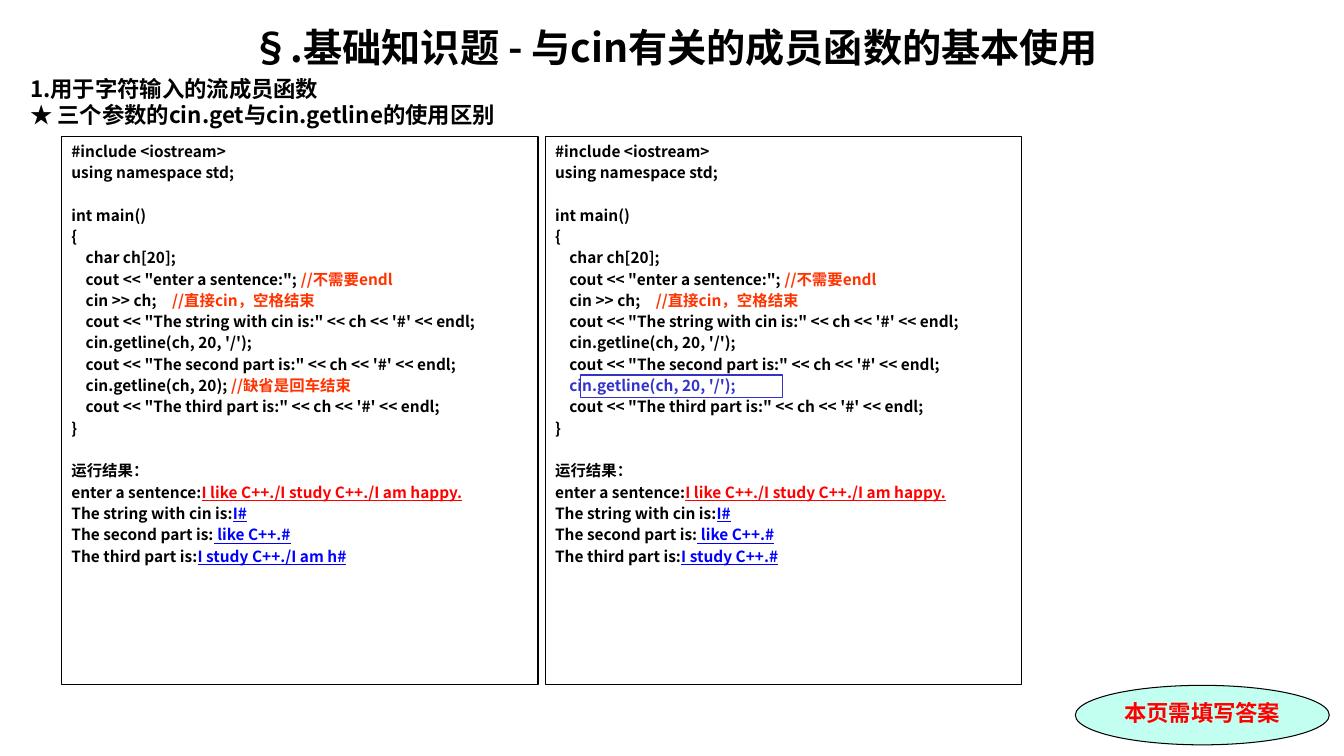
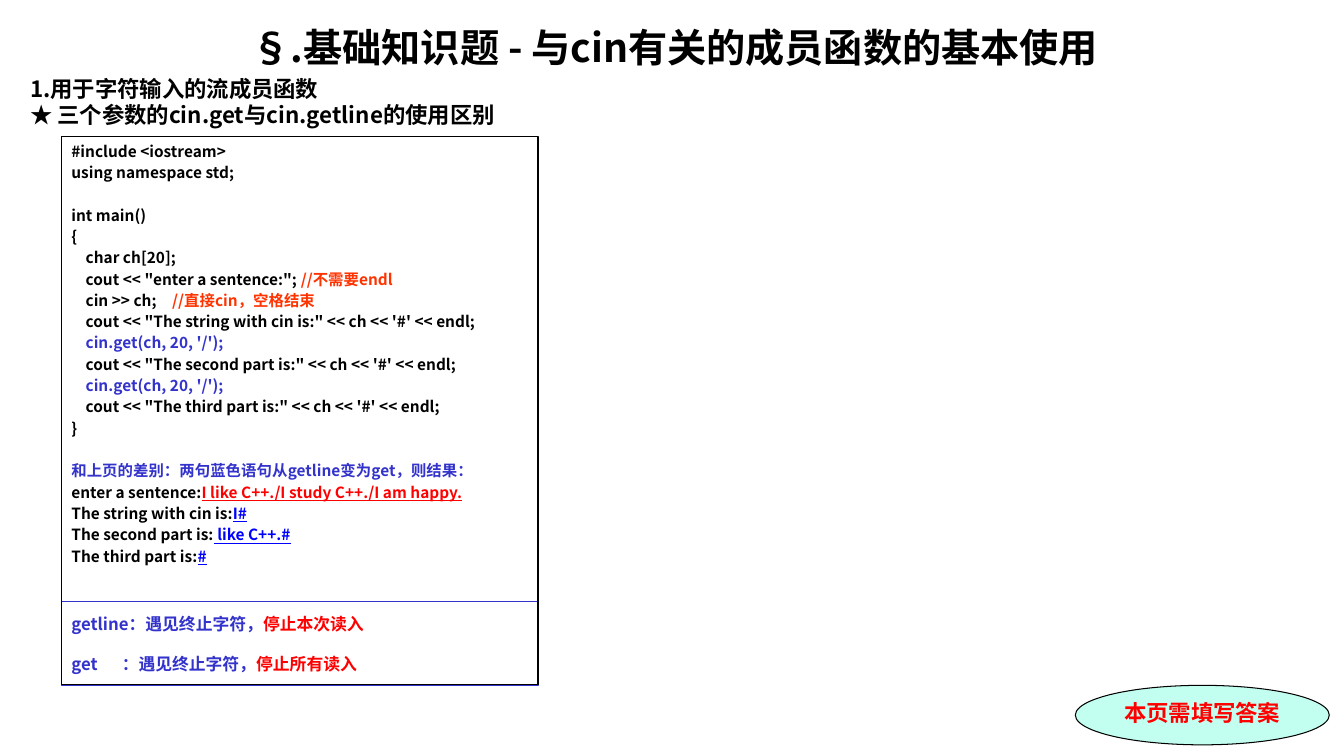
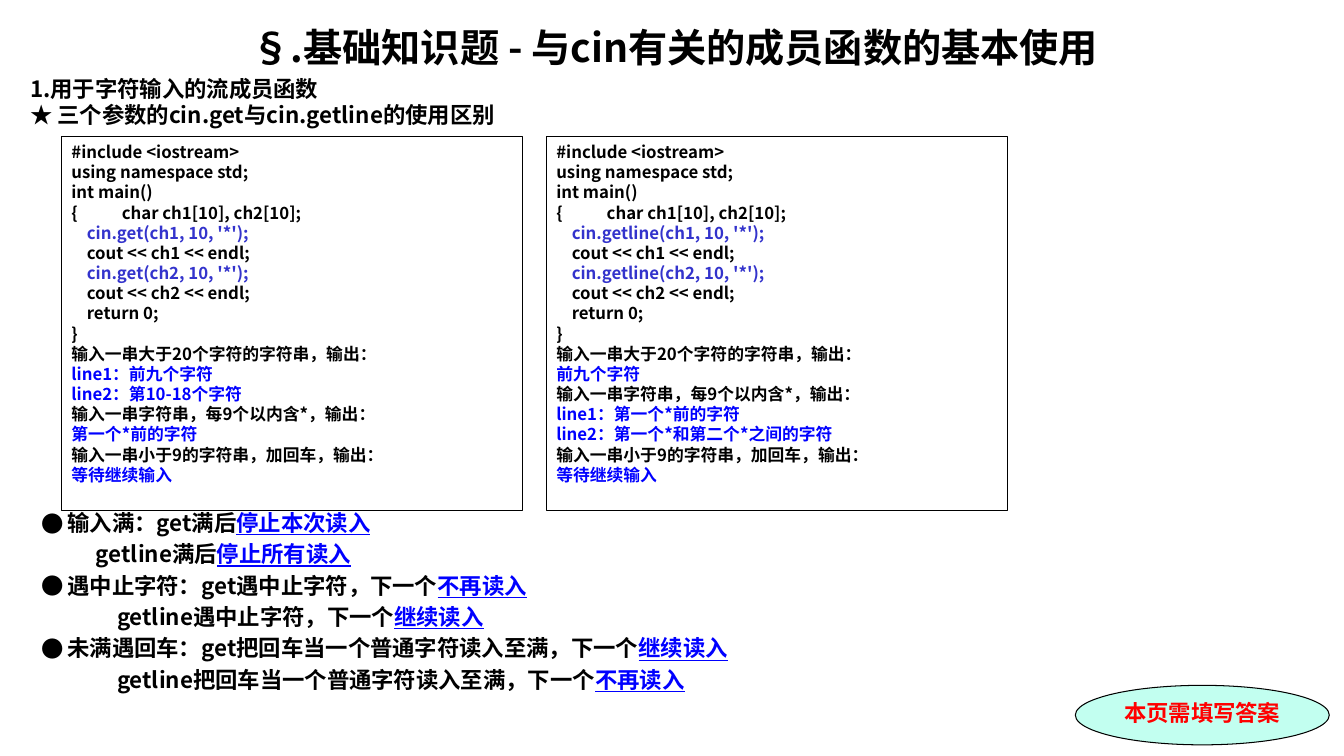
"""Builds three slides that compare cin.get with cin.getline."""
from dataclasses import dataclass

from lxml import etree
from pptx import Presentation
from pptx.dml.color import RGBColor
from pptx.enum.shapes import MSO_SHAPE
from pptx.enum.text import MSO_ANCHOR, PP_ALIGN
from pptx.oxml.ns import qn
from pptx.util import Cm, Pt

RECT, OVAL = MSO_SHAPE.RECTANGLE, MSO_SHAPE.OVAL
LEFT, MID = PP_ALIGN.LEFT, PP_ALIGN.CENTER
TOP, CENTER = MSO_ANCHOR.TOP, MSO_ANCHOR.MIDDLE


@dataclass(frozen=True)
class Theme:
    """Colours, fonts and type sizes."""
    ink: str = "000000"
    key: str = "3333CC"
    tip: str = "FF3300"
    red: str = "FF0000"
    blue: str = "0000FF"
    mint: str = "C2FFF0"
    font: str = "Noto Sans CJK SC"
    serif: str = "Times New Roman"
    title: int = 28
    head: int = 16
    body: int = 12
    code: int = 11
    lead: float = 1.2
    line: float = 0.75


@dataclass(frozen=True)
class Run:
    """A piece of text with one look."""
    text: str
    tone: str = Theme.ink
    under: bool = False


@dataclass(frozen=True)
class Row:
    """A paragraph; lengths in cm, gap in points."""
    runs: tuple
    dent: float = 0
    stop: float = 0
    gap: float = 0
    dot: bool = False


def row(*parts, **kw):
    """Makes a row from strings and runs."""
    return Row(tuple(Run(p) if isinstance(p, str) else p for p in parts), **kw)


def key(text):
    """Makes a run in the accent colour."""
    return Run(text, Theme.key)


def tip(text):
    """Makes a code comment run."""
    return Run(text, Theme.tip)


def fact(text, under=False):
    """Makes an answer run."""
    return Run(text, Theme.blue, under)


class Deck:
    """Holds the style and the current slide."""

    def __init__(self, theme):
        """Opens an empty wide deck."""
        self.theme = theme
        self.file = Presentation()
        self.file.slide_width, self.file.slide_height = Cm(33.87), Cm(19.05)

    def page(self):
        """Starts a slide with its title and heading."""
        self.slide = self.file.slides.add_slide(self.file.slide_layouts[6])
        t = self.theme
        box = self.text(0.51, 0.46, 32.99, 3, [row(TITLE)], t.title, align=MID)
        para = box.text_frame.add_paragraph()
        self.space(para, t.head, 0.2 * t.head)
        self.run(para, Run("1.用于字符输入的流成员函数"), t.head)
        para.add_line_break()
        self.run(para, Run("★ 三个参数的cin.get与cin.getline的使用区别"), t.head)

    def space(self, para, size, gap):
        """Sets line pitch and space before."""
        para.line_spacing = Pt(size * self.theme.lead)
        para.space_before = Pt(gap)

    def run(self, para, part, size, font=None):
        """Adds one run to a paragraph."""
        run = para.add_run()
        run.text = part.text
        face = run.font
        face.name, face.size, face.bold = font or self.theme.font, Pt(size), True
        face.color.rgb = RGBColor.from_string(part.tone)
        if part.under:
            face.underline = True
        east = etree.SubElement(face._element, qn("a:ea"))
        east.set("typeface", self.theme.font)

    def fill(self, shape, rows, size, align=LEFT, anchor=TOP, font=None):
        """Writes rows into a shape."""
        frame = shape.text_frame
        frame.word_wrap, frame.vertical_anchor = True, anchor
        for n, item in enumerate(rows):
            para = frame.add_paragraph() if n else frame.paragraphs[0]
            para.alignment = align
            self.space(para, size, item.gap)
            prop = para._p.get_or_add_pPr()
            prop.set("marL", str(Cm(0.94 if item.dot else 0)))
            prop.set("indent", str(Cm(-0.66 if item.dot else item.dent)))
            if item.dot:
                etree.SubElement(prop, qn("a:buFont")).set("typeface", self.theme.font)
                etree.SubElement(prop, qn("a:buChar")).set("char", "●")
            if item.stop:
                tabs = etree.SubElement(prop, qn("a:tabLst"))
                tab = etree.SubElement(tabs, qn("a:tab"))
                tab.set("pos", str(Cm(item.stop)))
                tab.set("algn", "l")
            for part in item.runs:
                self.run(para, part, size, font)

    def text(self, x, y, w, h, rows, size, **kw):
        """Adds a plain text box."""
        box = self.slide.shapes.add_textbox(Cm(x), Cm(y), Cm(w), Cm(h))
        self.fill(box, rows, size, **kw)
        return box

    def shape(self, kind, x, y, w, h, line=Theme.ink, fill=None):
        """Adds an outlined shape."""
        shape = self.slide.shapes.add_shape(kind, Cm(x), Cm(y), Cm(w), Cm(h))
        shape.shadow.inherit = False
        shape.line.color.rgb = RGBColor.from_string(line)
        shape.line.width = Pt(self.theme.line)
        if fill:
            shape.fill.solid()
            shape.fill.fore_color.rgb = RGBColor.from_string(fill)
        else:
            shape.fill.background()
        return shape

    def pane(self, x, w, h, rows, size):
        """Adds a framed code pane."""
        self.fill(self.shape(RECT, x, 3.45, w, h), rows, size)

    def badge(self):
        """Adds the oval reminder."""
        oval = self.shape(OVAL, 27.1, 17.27, 6.4, 1.5, fill=self.theme.mint)
        self.fill(oval, [row(Run("本页需填写答案", self.theme.red))],
                  self.theme.head, align=MID, font=self.theme.serif)


TITLE = "§.基础知识题 - 与cin有关的成员函数的基本使用"
STEP, SKIP = 2, 17.2
DENT = 0.36
EDGE = 1.55
WIDE, TALL = 12.01, 13.79


def listing(second, third, head, last):
    """Gives the program that reads one sentence in three parts."""
    def code(*parts, **kw):
        return row(*parts, dent=DENT, gap=STEP, **kw)

    def show(part):
        return code(f"cout << \"The {part} is:\" << ch << '#' << endl;")

    def out(label, run):
        return row(label, run, gap=STEP)

    typed = Run("I like C++./I study C++./I am happy.", Theme.red, True)
    return [
        row("#include <iostream>", gap=STEP),
        row("using namespace std;", gap=STEP),
        row("int main()", gap=SKIP),
        row("{", gap=STEP),
        code("char ch[20];"),
        code('cout << "enter a sentence:"; ', tip("//不需要endl")),
        code("cin >> ch;\t", tip("//直接cin，空格结束"), stop=3.12),
        show("string with cin"),
        code(second),
        show("second part"),
        code(*third),
        show("third part"),
        row("}", gap=STEP),
        row(head, gap=SKIP),
        out("enter a sentence:", typed),
        out("The string with cin is:", fact("I#", True)),
        out("The second part is:", fact(" like C++.#", True)),
        out("The third part is:", fact(last, True)),
    ]


def trial(call, full, star):
    """Gives the program that reads two short strings."""
    def read(name):
        return [row(key(f"cin.{call}({name}, 10, '*');"), dent=DENT + 0.03),
                row(f"cout << {name} << endl;", dent=DENT + 0.03)]

    return [
        row("#include <iostream>"),
        row("using namespace std;"),
        row("int main()"),
        row("{\tchar ch1[10], ch2[10];", stop=0.46),
        *read("ch1"),
        *read("ch2"),
        row("return 0;", dent=DENT + 0.03),
        row("}"),
        row("输入一串大于20个字符的字符串，输出："),
        *[row(fact(text)) for text in full],
        row("输入一串字符串，每9个以内含*，输出："),
        *[row(fact(text)) for text in star],
        row("输入一串小于9的字符串，加回车，输出："),
        row(fact("等待继续输入")),
    ]


def first(deck):
    """Draws the two getline programs."""
    deck.page()
    call, head = "cin.getline(ch, 20, '/');", "运行结果："
    plain = ("cin.getline(ch, 20); ", tip("//缺省是回车结束"))
    cases = [(plain, "I study C++./I am h#"), ((key(call),), "I study C++.#")]
    for n, (third, last) in enumerate(cases):
        rows = listing(call, third, head, last)
        deck.pane(EDGE + n * 12.19, WIDE, TALL, rows, deck.theme.code)
    deck.shape(RECT, 14.63, 9.45, 5.08, 0.56, line=deck.theme.key)
    deck.badge()


def second(deck):
    """Draws the get program and the rule below it."""
    deck.page()
    t = deck.theme
    rule = deck.shape(RECT, EDGE, 15.16, WIDE, 2.11, line=t.key)
    rows = [
        row(key("getline：遇见终止字符，"), Run("停止本次读入", t.red)),
        row(key("get\t：遇见终止字符，"), Run("停止所有读入", t.red),
            stop=1.05, gap=14.4),
    ]
    deck.fill(rule, rows, t.body, anchor=CENTER)
    deck.badge()
    call = key("cin.get(ch, 20, '/');")
    head = key("和上页的差别：两句蓝色语句从getline变为get，则结果：")
    deck.pane(EDGE, WIDE, TALL, listing(call, (call,), head, "#"), t.code)


def third(deck):
    """Draws the two trials and the summary."""
    deck.page()
    t = deck.theme
    star = "第一个*前的字符"
    cases = [
        ("get", ["line1：前九个字符", "line2：第10-18个字符"], [star]),
        ("getline", ["前九个字符"],
         ["line1：" + star, "line2：第一个*和第二个*之间的字符"]),
    ]
    for n, case in enumerate(cases):
        deck.pane(EDGE + n * 12.22, 11.61, 9.42, trial(*case), t.body)
    now, all_, no, more = "停止本次读入", "停止所有读入", "不再读入", "继续读入"
    star, enter = "遇中止字符，下一个", "把回车当一个普通字符读入至满，下一个"
    notes = [("输入满：", "满后", now, all_, 1.66),
             ("遇中止字符：", star, no, more, 2.19),
             ("未满遇回车：", enter, more, no, 2.19)]
    rows = []
    for case, text, get, line, dent in notes:
        rows += [row(f"{case}get{text}", fact(get, True), gap=3.2, dot=True),
                 row(f"getline{text}", fact(line, True), gap=3.2, dent=dent)]
    deck.text(0.51, 12.7, 32.99, 5, rows, t.head)
    deck.badge()


def main():
    """Builds and saves the deck."""
    deck = Deck(Theme())
    for draw in (first, second, third):
        draw(deck)
    deck.file.save("out.pptx")


if __name__ == "__main__":
    main()
